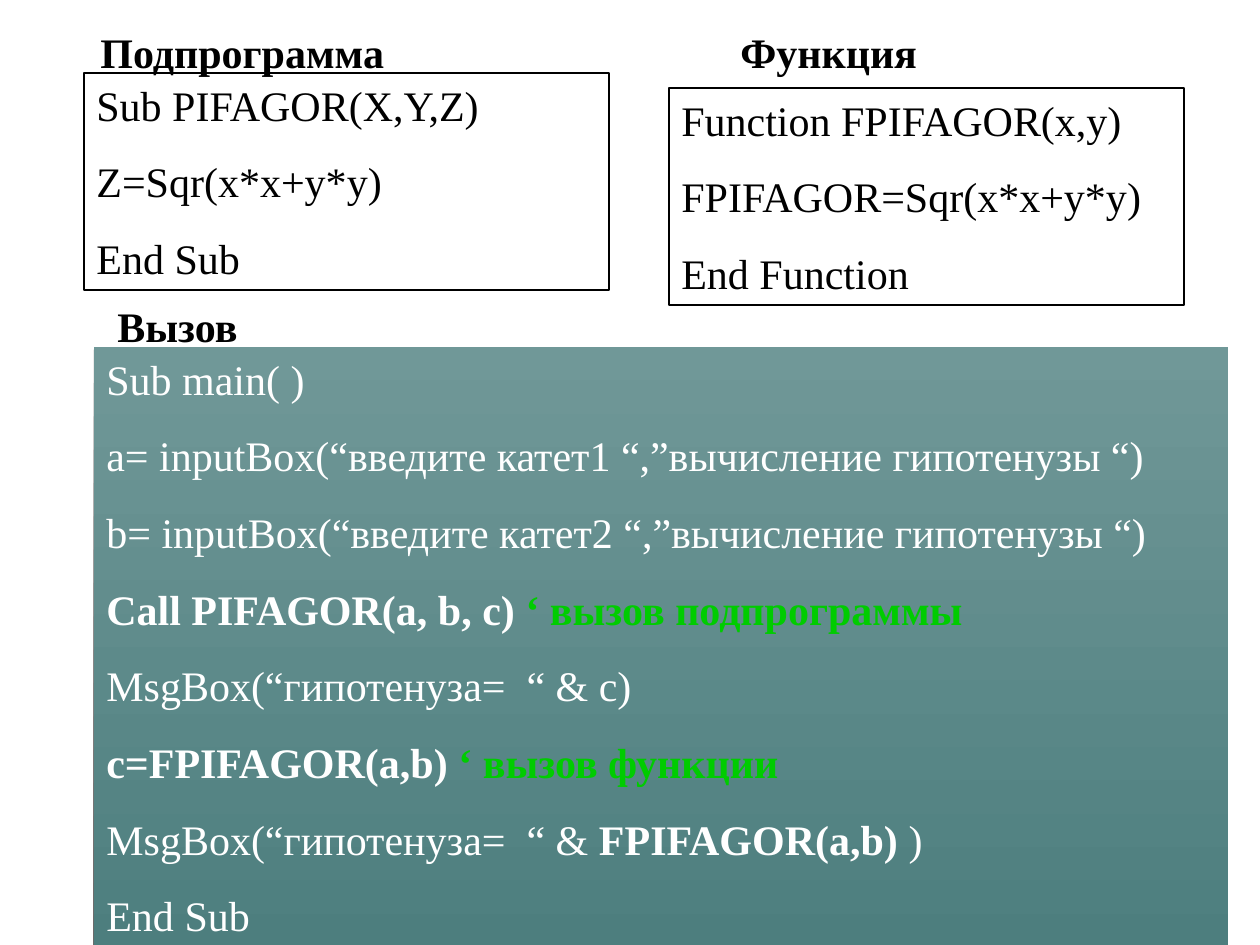
from lxml import etree
from pptx import Presentation
from pptx.dml.color import RGBColor
from pptx.enum.shapes import MSO_SHAPE
from pptx.enum.text import MSO_ANCHOR, MSO_AUTO_SIZE, PP_ALIGN
from pptx.oxml.ns import qn
from pptx.util import Pt

RECT = MSO_SHAPE.RECTANGLE
TOP = MSO_ANCHOR.TOP
LEFT = PP_ALIGN.LEFT
GROW = MSO_AUTO_SIZE.SHAPE_TO_FIT_TEXT
SCALE = 914400 / 126
FONT = "Times New Roman"
HEX = {"ink": "000000", "paper": "FFFFFF", "note": "00CC00",
       "light": "709898", "dark": "4D7E7E"}

SUB = ["Sub PIFAGOR(X,Y,Z)", "Z=Sqr(x*x+y*y)", "End Sub"]
FUNC = ["Function FPIFAGOR(x,y)", "FPIFAGOR=Sqr(x*x+y*y)", "End Function"]
BOLD = {"bold": True}
NOTE = {"bold": True, "color": "note"}
MAIN = [
    "Sub main( )",
    "a= inputBox(“введите катет1 “,”вычисление гипотенузы “)",
    "b= inputBox(“введите катет2 “,”вычисление гипотенузы “)",
    [("Call PIFAGOR(a, b, c) ", BOLD), ("‘ вызов подпрограммы", NOTE)],
    "MsgBox(“гипотенуза=  “ & c)",
    [("с=FPIFAGOR(a,b) ", BOLD), ("‘ вызов функции", NOTE)],
    [("MsgBox(“гипотенуза=  “ & ", {}), ("FPIFAGOR(a,b) ", BOLD), (")", {})],
    "End Sub",
]


def px(n):
    """Turn px into EMU."""
    return round(n * SCALE)


def rgb(name):
    """Look up a colour by name."""
    return RGBColor.from_string(HEX[name])


def write(shape, lines, color="ink", bold=False, size=24):
    """Fill a shape with lines, each a string or a list of (text, format)."""
    frame = shape.text_frame
    frame.word_wrap = True
    frame.auto_size = GROW
    frame.vertical_anchor = TOP
    for i, line in enumerate(lines):
        para = frame.paragraphs[0] if i == 0 else frame.add_paragraph()
        para.alignment = LEFT
        para.space_before = Pt(15)
        para.line_spacing = Pt(size * 1.2)
        for text, form in [(line, {})] if isinstance(line, str) else line:
            run = para.add_run()
            run.text = text
            run.font.name = FONT
            run.font.size = Pt(size)
            run.font.bold = form.get("bold", bold)
            run.font.color.rgb = rgb(form.get("color", color))


def title(slide, box, text):
    """Place a bold heading."""
    write(slide.shapes.add_textbox(*map(px, box)), [text], bold=True)


def block(slide, box):
    """Place a plain rectangle without shadow."""
    shape = slide.shapes.add_shape(RECT, *map(px, box))
    shape.shadow.inherit = False
    return shape


def card(slide, box, lines):
    """Place a framed white code listing."""
    shape = block(slide, box)
    shape.fill.solid()
    shape.fill.fore_color.rgb = rgb("paper")
    shape.line.color.rgb = rgb("ink")
    shape.line.width = Pt(1)
    write(shape, lines)


def shade(shape):
    """Give a shape a thin shadow straight below it."""
    effects = shape._element.spPr.find(qn("a:effectLst"))
    outer = etree.SubElement(effects, qn("a:outerShdw"), blurRad="0",
                             dist=str(Pt(1.5)), dir="5400000", rotWithShape="0")
    color = etree.SubElement(outer, qn("a:srgbClr"), val=HEX["ink"])
    etree.SubElement(color, qn("a:alpha"), val="63000")


def panel(slide, box, lines):
    """Place the gradient panel with the main program."""
    shape = block(slide, box)
    shape.fill.gradient()
    shape.fill.gradient_angle = 270
    for stop, name in zip(shape.fill.gradient_stops, ("light", "dark")):
        stop.color.rgb = rgb(name)
    shape.line.fill.background()
    shade(shape)
    write(shape, lines, color="paper")


def main():
    """Build and save the slide."""
    deck = Presentation()
    deck.slide_width, deck.slide_height = px(1260), px(945)
    slide = deck.slides.add_slide(deck.slide_layouts[6])
    card(slide, (84, 73, 525, 217), SUB)
    card(slide, (669, 88, 515, 217), FUNC)
    title(slide, (88, 20, 400, 63), "Подпрограмма")
    title(slide, (728, 20, 400, 63), "Функция")
    title(slide, (105, 294, 441, 63), "Вызов")
    panel(slide, (94, 347, 1134, 600), MAIN)
    deck.save("out.pptx")


if __name__ == "__main__":
    main()
